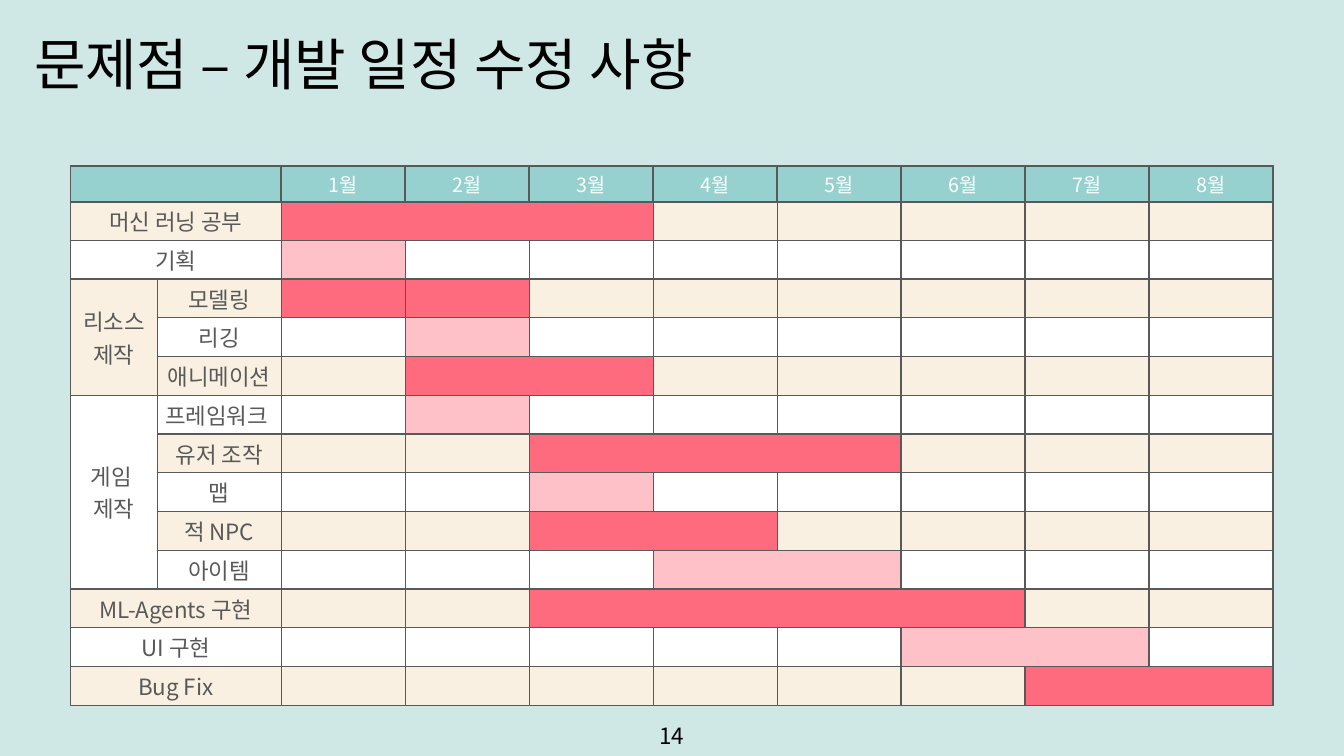
from lxml import etree
from pptx import Presentation
from pptx.dml.color import RGBColor
from pptx.enum.text import MSO_ANCHOR, PP_ALIGN
from pptx.oxml.ns import qn
from pptx.util import Pt

LEFT, CENTER = PP_ALIGN.LEFT, PP_ALIGN.CENTER
TOP, MIDDLE = MSO_ANCHOR.TOP, MSO_ANCHOR.MIDDLE
FONT = "Noto Sans CJK KR"
MINT = RGBColor(0xCF, 0xE8, 0xE5)
TEAL = RGBColor(0x96, 0xD1, 0xCF)
CREAM = RGBColor(0xF9, 0xF0, 0xE1)
RED = RGBColor(0xFF, 0x6B, 0x7E)
PINK = RGBColor(0xFF, 0xC1, 0xC8)
GRAY = RGBColor(0x59, 0x59, 0x59)
WHITE = RGBColor(0xFF, 0xFF, 0xFF)
BLACK = RGBColor(0, 0, 0)

MONTHS = 8
HEADER_H = 25.2
GROUP_W = 61.92
# (task, [(first month, last month), ...])
TASKS = [
    ("머신 러닝 공부", [(1, 3)]),
    ("기획", [(1, 1)]),
    ("모델링", [(1, 1), (2, 2)]),
    ("리깅", [(2, 2)]),
    ("애니메이션", [(2, 3)]),
    ("프레임워크 ", [(2, 2)]),
    ("유저 조작", [(3, 5)]),
    ("맵", [(3, 3)]),
    ("적 NPC", [(3, 4)]),
    ("아이템", [(4, 5)]),
    ("ML-Agents 구현", [(3, 6)]),
    ("UI 구현", [(6, 7)]),
    ("Bug Fix", [(7, 8)]),
]
GROUPS = {3: (5, "리소스\n제작"), 6: (10, "게임 \n제작")}


def write(tf, text, size=16, color=BLACK, align=CENTER):
    for i, line in enumerate(text.split("\n")):
        p = tf.add_paragraph() if i else tf.paragraphs[0]
        p.alignment = align
        r = p.add_run()
        r.text = line
        r.font.size = Pt(size)
        r.font.name = FONT
        r.font.color.rgb = color
        etree.SubElement(r.font._element, qn("a:ea"), typeface=FONT)


def text_box(s, box, text, anchor=TOP, wrap=True, **fmt):
    tf = s.shapes.add_textbox(*map(Pt, box)).text_frame
    tf.word_wrap = wrap
    tf.vertical_anchor = anchor
    write(tf, text, **fmt)


def style_cell(cell, fill, top=1, others=1):
    cell.margin_top = cell.margin_bottom = 0
    cell.margin_left = cell.margin_right = Pt(3.6)
    cell.vertical_anchor = MIDDLE
    tc_pr = cell._tc.get_or_add_tcPr()
    for side in "LRTB":
        width = top if side == "T" else others
        ln = etree.SubElement(tc_pr, qn(f"a:ln{side}"), w=str(Pt(width)))
        line_fill = etree.SubElement(ln, qn("a:solidFill"))
        etree.SubElement(line_fill, qn("a:srgbClr"), val=str(GRAY))
    cell.fill.solid()
    cell.fill.fore_color.rgb = fill


def schedule(s, box):
    x, y, w, h = box
    shape = s.shapes.add_table(len(TASKS) + 1, MONTHS + 2, *map(Pt, box))
    table = shape.table
    for i, col in enumerate(table.columns):
        col.width = Pt((w - GROUP_W) / (MONTHS + 1) if i else GROUP_W)
    for i, row in enumerate(table.rows):
        row.height = Pt((h - HEADER_H) / len(TASKS) if i else HEADER_H)

    for c in range(MONTHS + 2):
        cell = table.cell(0, c)
        style_cell(cell, TEAL, top=1.5, others=1.5)
        if c > 1:
            write(cell.text_frame, f"{c - 1}월", size=14, color=WHITE)
    table.cell(0, 0).merge(table.cell(0, 1))

    grouped = {r for first, (last, _) in GROUPS.items() for r in range(first, last + 1)}
    for r, (task, bars) in enumerate(TASKS, 1):
        band, bar = (CREAM, RED) if r % 2 else (WHITE, PINK)
        for c in range(MONTHS + 2):
            busy = any(first <= c - 1 <= last for first, last in bars)
            style_cell(table.cell(r, c), bar if busy else band, top=1.5 if r == 1 else 1)
        for first, last in bars:
            if last > first:
                table.cell(r, first + 1).merge(table.cell(r, last + 1))
        if r not in grouped:
            table.cell(r, 0).merge(table.cell(r, 1))
        label = table.cell(r, 1 if r in grouped else 0)
        write(label.text_frame, task, color=GRAY)

    for first, (last, name) in GROUPS.items():
        cell = table.cell(first, 0)
        cell.merge(table.cell(last, 0))
        write(cell.text_frame, name, color=GRAY)


def main():
    prs = Presentation()
    prs.slide_width, prs.slide_height = Pt(960), Pt(540)
    s = prs.slides.add_slide(prs.slide_layouts[6])
    s.background.fill.solid()
    s.background.fill.fore_color.rgb = MINT
    text_box(s, (17.3, 17.3, 496.8, 55.4), "문제점 – 개발 일정 수정 사항",
             wrap=False, size=40, align=LEFT)
    schedule(s, (50.4, 118.8, 858.96, 385.2))
    text_box(s, (445, 511.2, 69.8, 28.8), "14", anchor=MIDDLE)
    prs.save("out.pptx")


if __name__ == "__main__":
    main()
